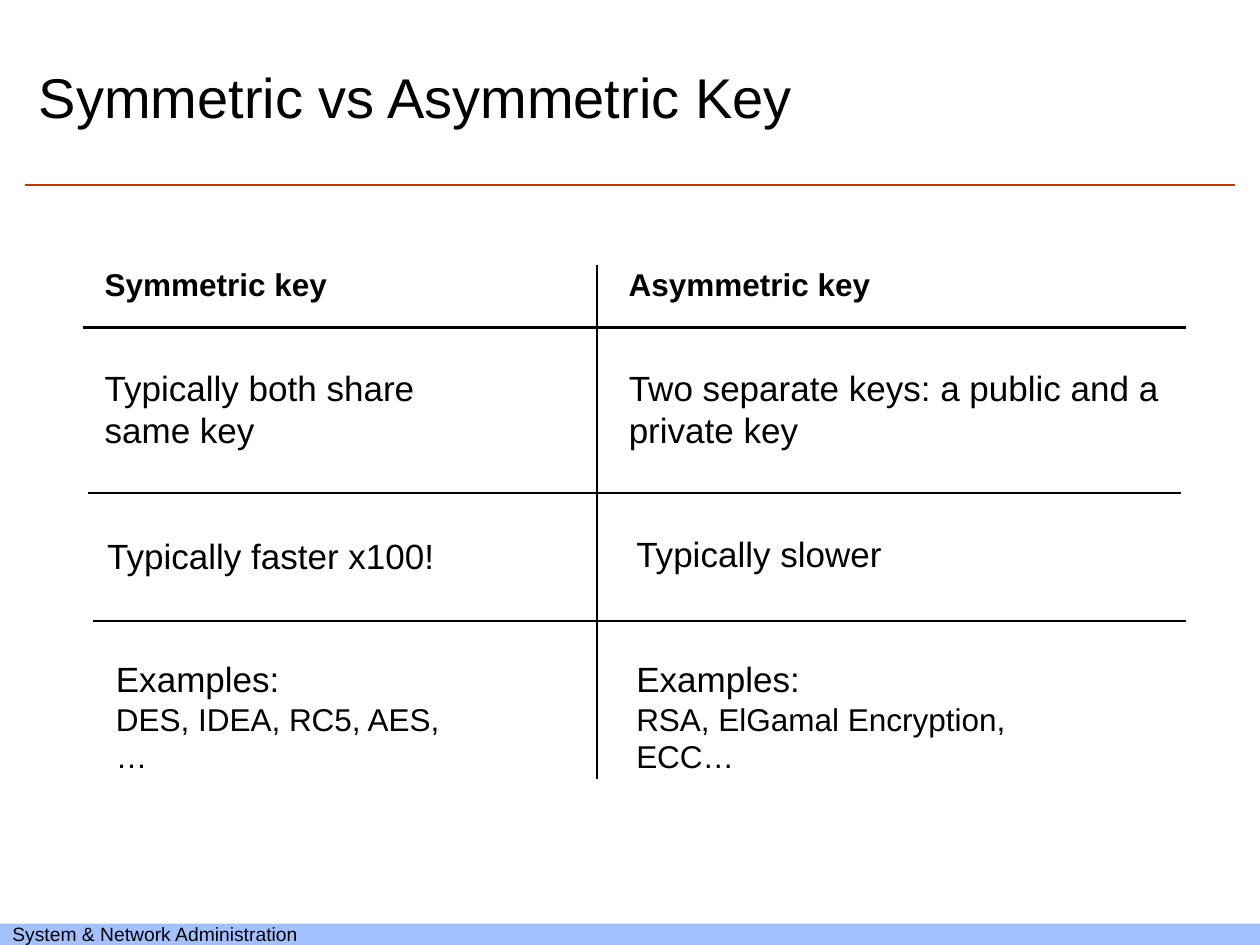
from lxml.etree import SubElement
from pptx import Presentation
from pptx.dml.color import RGBColor
from pptx.enum.shapes import MSO_CONNECTOR as Connector, MSO_SHAPE as Shape
from pptx.enum.text import MSO_ANCHOR as Anchor, PP_ALIGN as Align
from pptx.oxml.ns import qn
from pptx.util import Inches, Pt

COLORS = {"text": "000000", "accent": "CC3300", "footer": "A2C1FE"}
FONT = "Arial"

TITLE = "Symmetric vs Asymmetric Key"
FOOTER = "System & Network Administration"

# left, top, width, height, bold, [(text, size)]
CELLS = [
    (0.83, 2.1, 2.39, 0.4, True, [("Symmetric key", 18)]),
    (4.99, 2.1, 1.94, 0.3, True, [("Asymmetric key", 18)]),
    (0.83, 2.91, 2.72, 0.67, False, [("Typically both share", 20), ("same key", 20)]),
    (4.99, 2.91, 4.42, 0.67, False, [("Two separate keys: a public and a private key", 20)]),
    (0.85, 4.24, 3.17, 0.33, False, [("Typically faster x100!", 20)]),
    (5.05, 4.23, 2.06, 0.33, False, [("Typically slower", 20)]),
    (0.92, 5.22, 2.8, 0.63, False, [("Examples:", 20), ("DES, IDEA, RC5, AES, …", 18)]),
    (5.05, 5.22, 3.66, 0.63, False, [("Examples:", 20), ("RSA, ElGamal Encryption, ECC…", 18)]),
]

# start x, start y, end x, end y, width, color
RULES = [
    (0.2, 1.47, 9.8, 1.47, 1.5, "accent"),
    (0.66, 2.6, 9.41, 2.6, 1.75, "text"),
    (4.74, 2.1, 4.74, 6.18, 1.25, "text"),
    (0.7, 3.91, 9.37, 3.91, 1.25, "text"),
    (0.74, 4.93, 9.41, 4.93, 1.25, "text"),
]


def color(name):
    return RGBColor.from_string(COLORS[name])


def write(shape, lines, bold=False, anchor=Anchor.TOP, inset=None):
    frame = shape.text_frame
    frame.word_wrap = True
    frame.vertical_anchor = anchor
    if inset is not None:
        frame.margin_left = frame.margin_right = Inches(inset)
        frame.margin_top = frame.margin_bottom = Inches(inset)
    for index, (text, size) in enumerate(lines):
        para = frame.add_paragraph() if index else frame.paragraphs[0]
        para.text = text
        para.alignment = Align.LEFT
        para.font.name = FONT
        para.font.size = Pt(size)
        para.font.bold = bold
        para.font.color.rgb = color("text")


def add_rule(page, x1, y1, x2, y2, width, name):
    rule = page.shapes.add_connector(Connector.STRAIGHT, *map(Inches, (x1, y1, x2, y2)))
    rule.line.width = Pt(width)
    rule.line.color.rgb = color(name)
    SubElement(rule._element.spPr, qn("a:effectLst"))


def main():
    deck = Presentation()
    deck.slide_width, deck.slide_height = Inches(10), Inches(7.5)
    page = deck.slides.add_slide(deck.slide_layouts[6])

    footer = page.shapes.add_shape(Shape.RECTANGLE, *map(Inches, (0, 7.33, 10, 0.17)))
    footer.shadow.inherit = False
    footer.fill.solid()
    footer.fill.fore_color.rgb = color("footer")
    footer.line.fill.background()
    write(footer, [(FOOTER, 11)], anchor=Anchor.MIDDLE)

    title = page.shapes.add_textbox(*map(Inches, (0.21, 0.2, 7.19, 1.12)))
    write(title, [(TITLE, 32)], anchor=Anchor.MIDDLE)

    for left, top, width, height, bold, lines in CELLS:
        box = page.shapes.add_textbox(*map(Inches, (left, top, width, height)))
        write(box, lines, bold, inset=0)

    for rule in RULES:
        add_rule(page, *rule)

    deck.save("out.pptx")


if __name__ == "__main__":
    main()
